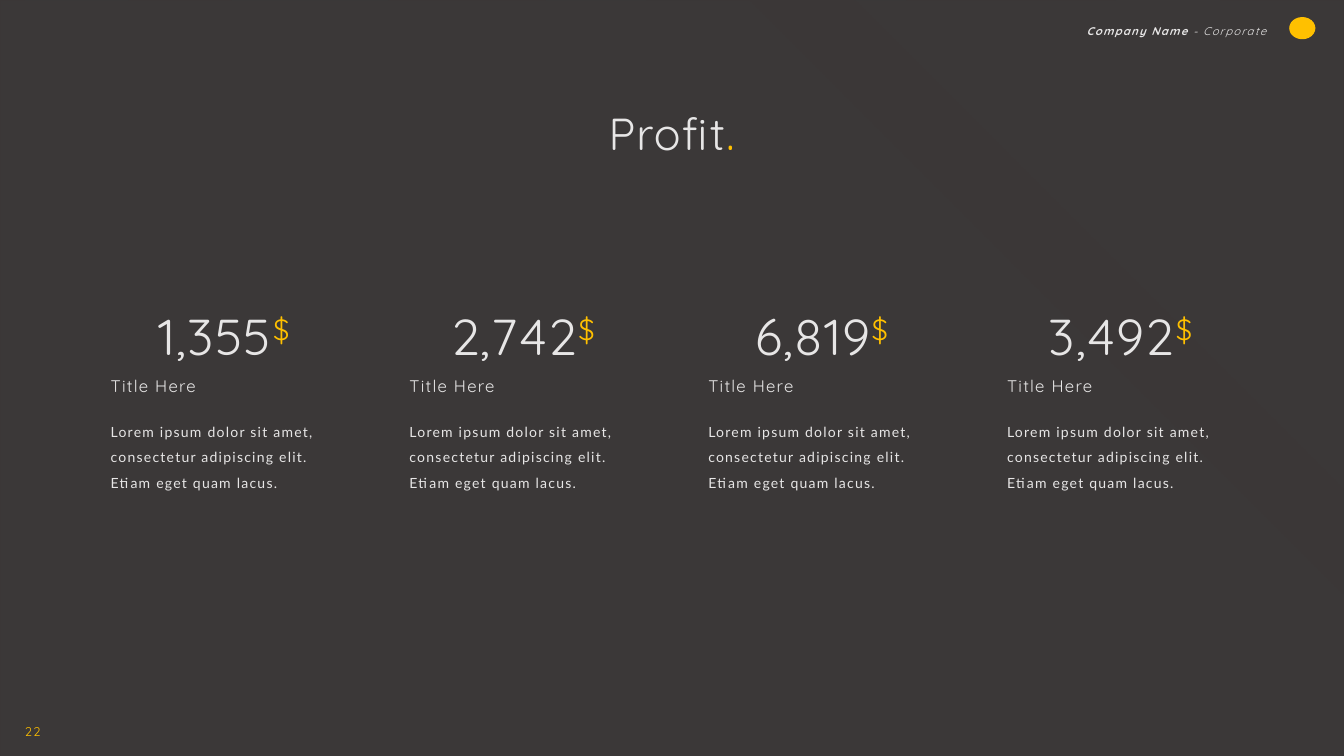
from lxml.etree import SubElement
from pptx import Presentation
from pptx.dml.color import RGBColor
from pptx.enum.shapes import MSO_SHAPE
from pptx.enum.text import MSO_ANCHOR, MSO_AUTO_SIZE, PP_ALIGN
from pptx.oxml.ns import qn
from pptx.util import Cm, Pt

DARK = RGBColor(0x3B, 0x38, 0x38)
LIGHT = RGBColor(0xE7, 0xE6, 0xE6)
GOLD = RGBColor(0xFF, 0xC0, 0x00)
HEAD, BODY = "Quicksand", "Lato"

deck = Presentation()
deck.slide_width, deck.slide_height = Cm(33.87), Cm(19.05)
slide = deck.slides.add_slide(deck.slide_layouts[6])


def add_box(x, y, w, h, align=PP_ALIGN.LEFT, wrap=True, space=1.5):
    """Add a text box and return its first paragraph and its frame."""
    frame = slide.shapes.add_textbox(Cm(x), Cm(y), Cm(w), Cm(h)).text_frame
    frame.word_wrap = wrap
    frame.auto_size = MSO_AUTO_SIZE.SHAPE_TO_FIT_TEXT
    para = frame.paragraphs[0]
    para.alignment = align
    if space:
        para.line_spacing = space
    return para, frame


def add_run(para, text, size, color=LIGHT, face=HEAD):
    run = para.add_run()
    run.text = text
    run.font.size = Pt(size)
    run.font.name = face
    run.font.color.rgb = color
    run.font._element.set("spc", "90")
    return run


# Background and gradient cover
slide.background.fill.solid()
slide.background.fill.fore_color.rgb = DARK
cover = slide.shapes.add_shape(MSO_SHAPE.RECTANGLE, 0, 0, deck.slide_width, deck.slide_height)
cover.shadow.inherit = False
cover.line.fill.background()
cover.fill.gradient()
cover.fill.gradient_angle = 225
for stop, place in zip(cover.fill.gradient_stops, (0.06, 0.69)):
    stop.color.rgb = DARK
    stop.position = place
first = next(cover._element.iter(qn("a:srgbClr")))
SubElement(first, qn("a:alpha"), val="90000")

# Header: plain mark and company line
mark = slide.shapes.add_shape(MSO_SHAPE.OVAL, Cm(32.49), Cm(0.43), Cm(0.66), Cm(0.56))
mark.shadow.inherit = False
mark.fill.solid()
mark.fill.fore_color.rgb = GOLD
mark.line.fill.background()
para, frame = add_box(27.03, 0.33, 5.13, 0.71, PP_ALIGN.RIGHT)
for text, bold in (("Company Name ", True), ("- Corporate", False)):
    run = add_run(para, text, 8)
    run.font.bold = bold
    run.font.italic = True

# Page number
para, frame = add_box(0.38, 17.93, 1.35, 0.76)
add_run(para, "22", 9, GOLD)

# Four profit columns
for col, total in enumerate(("1,355", "2,742", "6,819", "3,492")):
    x = 2.54 + col * 7.53
    para, frame = add_box(x, 10.34, 6.07, 2.11)
    add_run(para, "Lorem ipsum dolor sit amet, consectetur adipiscing elit. "
            "Etiam eget quam lacus.", 10, face=BODY)
    para, frame = add_box(x, 9.09, 6.07, 0.97)
    add_run(para, "Title Here", 12)
    para, frame = add_box(x, 6.91, 6.22, 2.31, PP_ALIGN.CENTER, wrap=False)
    frame.vertical_anchor = MSO_ANCHOR.MIDDLE
    add_run(para, total, 36)
    sign = add_run(para, "$", 36, GOLD)
    sign.font._element.set("baseline", "30000")

# Slide title
para, frame = add_box(14.5, 2.54, 4.85, 1.63, PP_ALIGN.CENTER, wrap=False, space=None)
add_run(para, "Profit", 32)
add_run(para, ".", 32, GOLD)

deck.save("out.pptx")
